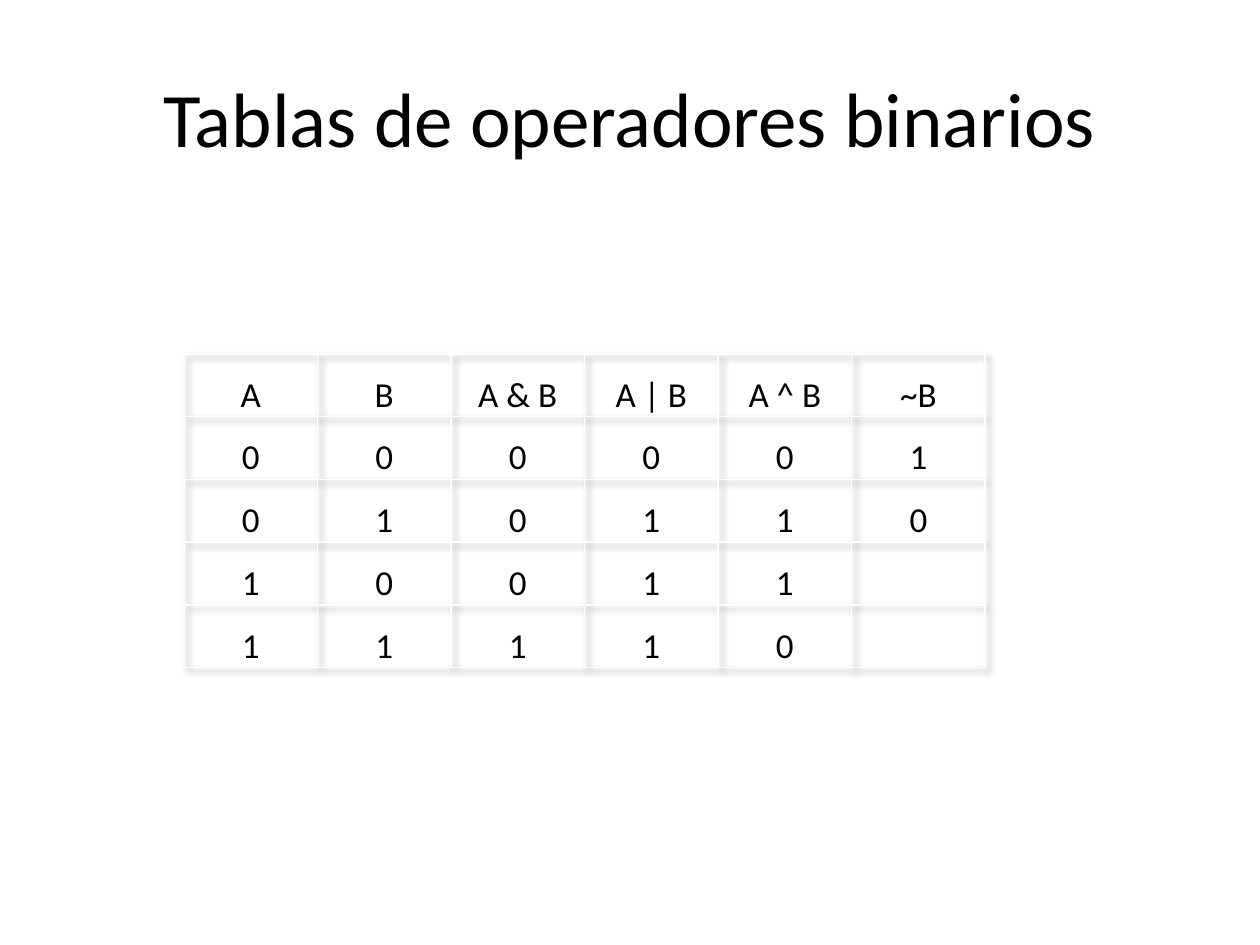
from lxml.etree import SubElement
from pptx import Presentation
from pptx.dml.color import RGBColor
from pptx.enum.text import MSO_ANCHOR, PP_ALIGN
from pptx.oxml import parse_xml
from pptx.oxml.ns import nsdecls, qn
from pptx.util import Inches, Pt

COLORS = {"text": "000000", "border": "FFFFFF", "shadow": "000000"}
MARGINS = {"margin_left": 0.01, "margin_right": 0.01, "margin_top": 0.01, "margin_bottom": 0}
BORDERS = ("a:lnL", "a:lnR", "a:lnT", "a:lnB")


def set_values(target, values):
    for name, value in values.items():
        setattr(target, name, value)


class SlideBuilder:
    font_name = "Calibri"

    def __init__(self, presentation):
        self.width = presentation.slide_width
        self.height = presentation.slide_height
        self.slide = presentation.slides.add_slide(presentation.slide_layouts[6])

    def place(self, left, top, width, height):
        return (round(left * self.width), round(top * self.height),
                round(width * self.width), round(height * self.height))

    def add_text(self, paragraph, text, size):
        paragraph.alignment = PP_ALIGN.CENTER
        run = paragraph.add_run()
        run.text = text
        set_values(run.font, {"name": self.font_name, "size": Pt(size), "bold": False})
        run.font.color.rgb = RGBColor.from_string(COLORS["text"])

    def title(self, text, area, size=44):
        frame = self.slide.shapes.add_textbox(*self.place(*area)).text_frame
        set_values(frame, {"word_wrap": True, "vertical_anchor": MSO_ANCHOR.MIDDLE})
        self.add_text(frame.paragraphs[0], text, size)

    def border(self, cell):
        properties = cell._tc.get_or_add_tcPr()
        for position, tag in enumerate(BORDERS):
            line = SubElement(properties, qn(tag), w=str(Pt(1)))
            fill = SubElement(line, qn("a:solidFill"))
            SubElement(fill, qn("a:srgbClr"), val=COLORS["border"])
            properties.insert(position, line)

    def shadow(self, table):
        effect = parse_xml(
            f'<a:effectLst {nsdecls("a")}>'
            '<a:outerShdw blurRad="50800" dist="38100" dir="2700000" algn="tl" rotWithShape="0">'
            f'<a:srgbClr val="{COLORS["shadow"]}"><a:alpha val="40000"/></a:srgbClr>'
            '</a:outerShdw></a:effectLst>')
        table._tbl.tblPr.insert(0, effect)

    def table(self, rows, area, size=20):
        shape = self.slide.shapes.add_table(len(rows), len(rows[0]), *self.place(*area))
        table = shape.table
        set_values(table, {"first_row": False, "horz_banding": False})
        self.shadow(table)
        for row_index, row in enumerate(rows):
            for column_index, text in enumerate(row):
                cell = table.cell(row_index, column_index)
                set_values(cell, {name: Inches(value) for name, value in MARGINS.items()})
                cell.vertical_anchor = MSO_ANCHOR.BOTTOM
                cell.fill.background()
                self.border(cell)
                if text:
                    self.add_text(cell.text_frame.paragraphs[0], text, size)


presentation = Presentation()
set_values(presentation, {"slide_width": Inches(10), "slide_height": Inches(7.5)})
builder = SlideBuilder(presentation)
builder.title("Tablas de operadores binarios", (0.05, 0.04, 0.9, 1 / 6))

rows = [["A", "B", "A & B", "A | B", "A ^ B", "~B"]]
for a in (0, 1):
    for b in (0, 1):
        negation = "" if a else str(1 - b)
        rows.append([str(value) for value in (a, b, a & b, a | b, a ^ b)] + [negation])
builder.table(rows, (0.146, 2.81 / 7.5, 0.636, 2.49 / 7.5))
presentation.save("out.pptx")
